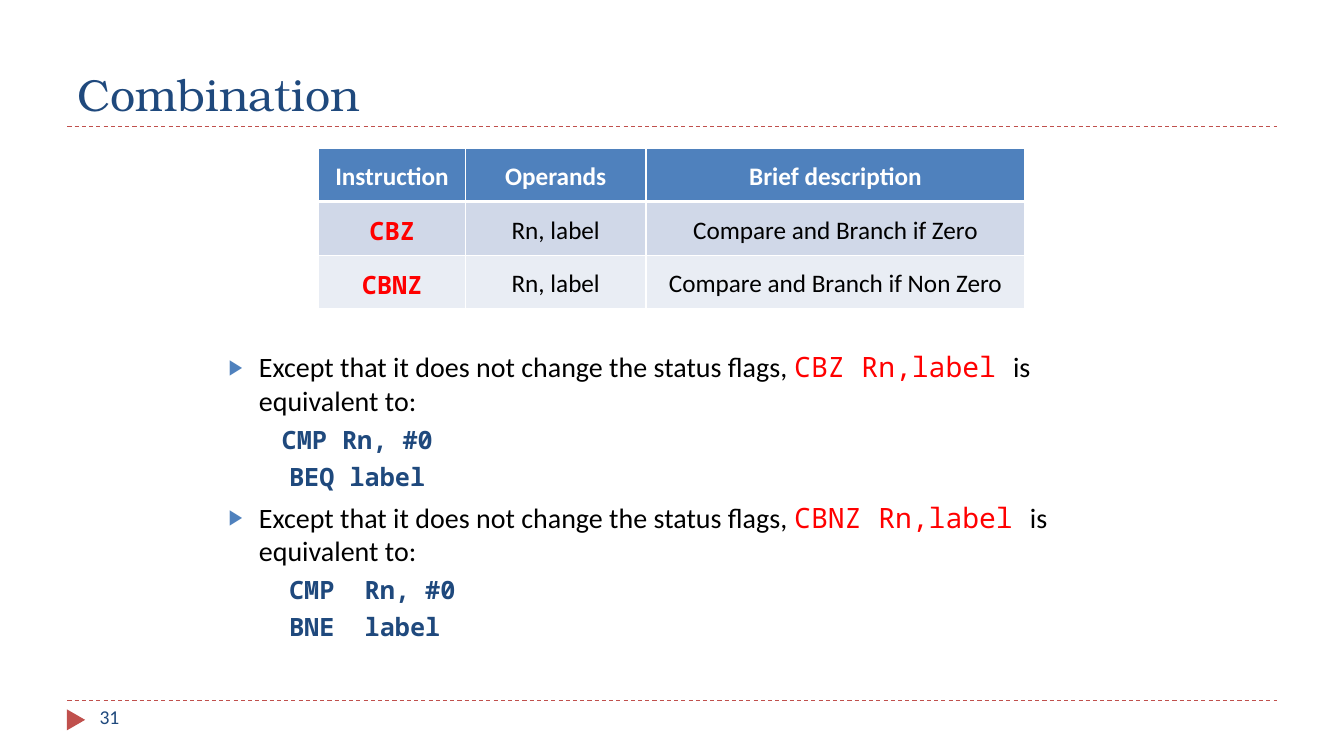
import pptx
import pptx.util
import pptx.dml.color
import pptx.enum.dml
import pptx.enum.shapes
import pptx.enum.text
import pptx.oxml
import pptx.oxml.ns

Cm = pptx.util.Cm
Pt = pptx.util.Pt
ALIGN = pptx.enum.text.PP_ALIGN
ANCHOR = pptx.enum.text.MSO_ANCHOR
SANS, MONO, SERIF = "Calibri", "Noto Sans Mono", "TeX Gyre Bonum"
NAVY, RED, BRICK, BLUE = "1F497D", "FF0000", "C0504D", "4F81BD"
BLACK, WHITE = "000000", "FFFFFF"
NAMESPACE = pptx.oxml.ns.nsdecls("a")


def color(hex_value):
    return pptx.dml.color.RGBColor.from_string(hex_value)


def add_run(paragraph, text, size, font, hex_value, bold=False):
    run = paragraph.add_run()
    run.text = text
    run.font.size = Pt(size)
    run.font.name = font
    run.font.bold = bold
    run.font.color.rgb = color(hex_value)


deck = pptx.Presentation()
deck.slide_width, deck.slide_height = Cm(33.87), Cm(19.05)
slide = deck.slides.add_slide(deck.slide_layouts[1])

# Dashed rules under the title and above the footer
for rule_y in (17.65, 3.18):
    rule = slide.shapes.add_connector(
        pptx.enum.shapes.MSO_CONNECTOR.STRAIGHT,
        Cm(1.7), Cm(rule_y), Cm(32.18), Cm(rule_y))
    rule.line.color.rgb = color(BRICK)
    rule.line.width = Pt(0.75)
    rule.line.dash_style = pptx.enum.dml.MSO_LINE.DASH
    rule._element.spPr.append(pptx.oxml.parse_xml(f"<a:effectLst {NAMESPACE}/>"))

# Footer marker and page number
marker = slide.shapes.add_shape(
    pptx.enum.shapes.MSO_SHAPE.ISOSCELES_TRIANGLE,
    Cm(1.65), Cm(17.91), Cm(0.53), Cm(0.46))
marker.rotation = 90
marker.shadow.inherit = False
marker.fill.solid()
marker.fill.fore_color.rgb = color(BRICK)
marker.line.fill.background()

page_number = slide.shapes.add_textbox(Cm(2.26), Cm(17.65), Cm(7.34), Cm(1.02))
page_number.text_frame.word_wrap = True
add_run(page_number.text_frame.paragraphs[0], "31", 14, SANS, NAVY)

# Title
title = slide.shapes.title
title.left, title.top, title.width, title.height = Cm(1.7), Cm(0.43), Cm(30.48), Cm(2.74)
title.text_frame.vertical_anchor = ANCHOR.BOTTOM
title.text_frame.auto_size = pptx.enum.text.MSO_AUTO_SIZE.NONE
heading = title.text_frame.paragraphs[0]
heading.alignment = ALIGN.LEFT
add_run(heading, "Combination", 32, SERIF, NAVY)

# Explanation: bulleted statements, each followed by its code
statement = "Except that it does not change the status flags, "
explanation = [
    [(statement, SANS), ("CBZ Rn,label ", MONO), ("is equivalent to:", SANS)],
    [("    ", SANS), ("CMP Rn, #0", MONO)],
    [("  BEQ label", MONO)],
    [(statement, SANS), ("CBNZ Rn,label ", MONO), ("is equivalent to:", SANS)],
    [("  CMP  Rn, #0", MONO)],
    [("  BNE  label", MONO)],
]
body = slide.placeholders[1]
body.left, body.top, body.width, body.height = Cm(5.51), Cm(8.69), Cm(22.86), Cm(8.43)
body.text_frame.auto_size = pptx.enum.text.MSO_AUTO_SIZE.NONE
for index, pieces in enumerate(explanation):
    is_statement = len(pieces) == 3
    paragraph = body.text_frame.paragraphs[0] if index == 0 else body.text_frame.add_paragraph()
    paragraph.level = 0 if is_statement else 1
    properties = paragraph._p.get_or_add_pPr()
    properties.set("marL", str(Cm(0.76)))
    properties.set("indent", str(Cm(-0.76) if is_statement else 0))
    if is_statement:
        bullet = (f'<a:buClr {NAMESPACE}><a:srgbClr val="{BLUE}"/></a:buClr>',
                  f'<a:buSzPct {NAMESPACE} val="76000"/>',
                  f'<a:buChar {NAMESPACE} char="▶"/>')
    else:
        bullet = (f"<a:buNone {NAMESPACE}/>",)
    for part in bullet:
        properties.append(pptx.oxml.parse_xml(part))
    paragraph.space_before = Pt(0 if index == 0 else 6 if is_statement else 5)
    for text, font in pieces:
        if is_statement:
            add_run(paragraph, text, 20, font, RED if font == MONO else BLACK)
        else:
            add_run(paragraph, text, 18, font, NAVY, True)

# Instruction table
instructions = [
    ("Instruction", "Operands", "Brief description"),
    ("CBZ", "Rn, label", "Compare and Branch if Zero"),
    ("CBNZ", "Rn, label", "Compare and Branch if Non Zero"),
]
row_fills = (BLUE, "D0D8E8", "E9EDF4")
table = slide.shapes.add_table(3, 3, Cm(8.03), Cm(3.73), Cm(17.8), Cm(4.04)).table
for column, width in zip(table.columns, (3.7, 4.55, 9.55)):
    column.width = Cm(width)
for row_index, texts in enumerate(instructions):
    table.rows[row_index].height = Cm(1.35)
    for column_index, text in enumerate(texts):
        cell = table.cell(row_index, column_index)
        cell.fill.solid()
        cell.fill.fore_color.rgb = color(row_fills[row_index])
        cell.vertical_anchor = ANCHOR.MIDDLE
        cell.margin_left = cell.margin_right = Cm(0.18)
        cell.margin_top = cell.margin_bottom = 0
        # White borders, thicker around the foot of the header row
        for position, side in enumerate(("lnL", "lnR", "lnT", "lnB")):
            thick = (row_index, side) in ((0, "lnB"), (1, "lnT"))
            cell._tc.get_or_add_tcPr().insert(position, pptx.oxml.parse_xml(
                f'<a:{side} {NAMESPACE} w="{Pt(3 if thick else 1)}">'
                f'<a:solidFill><a:srgbClr val="{WHITE}"/></a:solidFill></a:{side}>'))
        paragraph = cell.text_frame.paragraphs[0]
        paragraph.alignment = ALIGN.CENTER
        paragraph.line_spacing = 1.15
        if row_index == 0:
            add_run(paragraph, text, 18, SANS, WHITE, True)
        elif column_index == 0:
            add_run(paragraph, text, 18, MONO, RED, True)
        else:
            add_run(paragraph, text, 18, SANS, BLACK)

deck.save("out.pptx")
